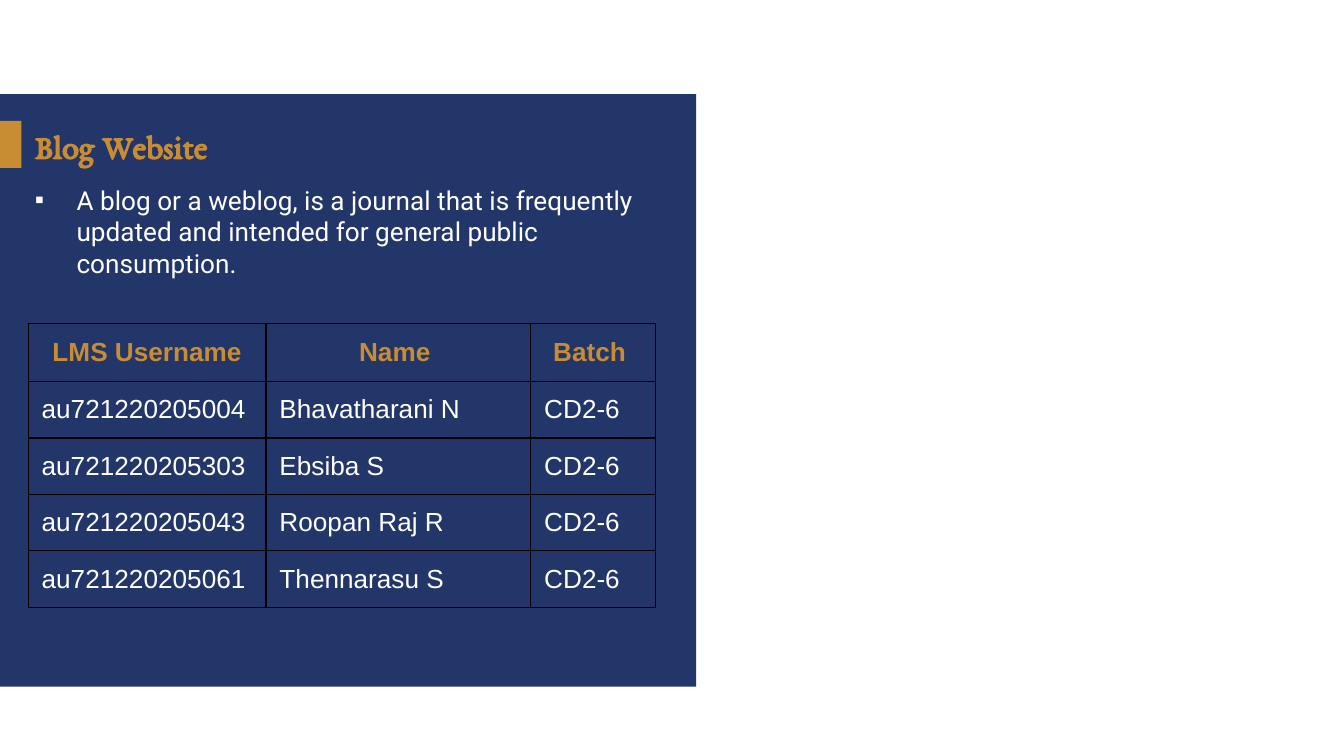
from lxml import etree
from pptx import Presentation
from pptx.dml.color import RGBColor
from pptx.enum.shapes import MSO_SHAPE
from pptx.enum.text import MSO_ANCHOR, MSO_AUTO_SIZE, PP_ALIGN
from pptx.oxml.ns import qn
from pptx.util import Inches, Pt

RECT = MSO_SHAPE.RECTANGLE
MIDDLE, TOP = MSO_ANCHOR.MIDDLE, MSO_ANCHOR.TOP
LEFT, CENTER = PP_ALIGN.LEFT, PP_ALIGN.CENTER
NO_FIT = MSO_AUTO_SIZE.NONE
NAVY, GOLD, WHITE, BLACK = "223669", "C88C32", "FFFFFF", "000000"

ROWS = [
    ("LMS Username", "Name ", "Batch "),
    ("au721220205004", "Bhavatharani N", "CD2-6"),
    ("au721220205303", "Ebsiba S", "CD2-6"),
    ("au721220205043", "Roopan Raj R", "CD2-6"),
    ("au721220205061", "Thennarasu S", "CD2-6"),
]
WIDTHS = [1.77, 1.97, 0.93]
HEAD, ROW = 0.43, 0.42


def color(code):
    return RGBColor.from_string(code)


def style(para, name, size, code, bold=False, align=LEFT):
    para.alignment = align
    font = para.font
    font.name, font.size, font.bold = name, Pt(size), bold
    font.color.rgb = color(code)


def add_panel(slide, box, code):
    """Plain rectangle placed behind the placeholders."""
    panel = slide.shapes.add_shape(RECT, *map(Inches, box))
    panel.shadow.inherit = False
    panel.fill.solid()
    panel.fill.fore_color.rgb = color(code)
    panel.line.fill.background()
    slide.shapes.title.element.addprevious(panel.element)


def fill_holder(holder, box, text, anchor):
    holder.left, holder.top, holder.width, holder.height = map(Inches, box)
    frame = holder.text_frame
    frame.text = text
    frame.word_wrap = True
    frame.auto_size = NO_FIT
    frame.vertical_anchor = anchor
    para = frame.paragraphs[0]
    para.space_before = Pt(0)
    return para


def add_bullet(para, char, indent, code):
    props = para._p.get_or_add_pPr()
    props.set("marL", str(Inches(indent)))
    props.set("indent", str(-Inches(indent)))
    tint = etree.SubElement(props, qn("a:buClr"))
    etree.SubElement(tint, qn("a:srgbClr"), val=code)
    etree.SubElement(props, qn("a:buChar"), char=char)


def add_border(cell, code, width):
    props = cell._tc.get_or_add_tcPr()
    for side in ("lnB", "lnT", "lnR", "lnL"):
        line = etree.Element(qn(f"a:{side}"), w=str(Pt(width)))
        fill = etree.SubElement(line, qn("a:solidFill"))
        etree.SubElement(fill, qn("a:srgbClr"), val=code)
        props.insert(0, line)


def add_grid(slide, left, top):
    high = HEAD + ROW * (len(ROWS) - 1)
    box = map(Inches, (left, top, sum(WIDTHS), high))
    table = slide.shapes.add_table(len(ROWS), len(WIDTHS), *box).table
    table.horz_banding = False
    for col, width in zip(table.columns, WIDTHS):
        col.width = Inches(width)
    for i, row in enumerate(ROWS):
        table.rows[i].height = Inches(ROW if i else HEAD)
        for j, text in enumerate(row):
            cell = table.cell(i, j)
            cell.text = text
            cell.fill.background()
            cell.margin_left = cell.margin_right = Inches(0.1)
            cell.margin_top = cell.margin_bottom = Inches(0.1)
            add_border(cell, BLACK, 0.75)
            para = cell.text_frame.paragraphs[0]
            if i == 0:
                style(para, "Arial", 14, GOLD, True, CENTER)
            else:
                style(para, "Arial", 14, WHITE)


def main():
    # Widescreen 16:9 deck
    deck = Presentation()
    deck.slide_width = Inches(10)
    deck.slide_height = deck.slide_width * 9 // 16
    slide = deck.slides.add_slide(deck.slide_layouts[1])

    # Navy panel and gold tab
    add_panel(slide, (0, 0.7, 5.18, 4.41), NAVY)
    add_panel(slide, (0, 0.9, 0.16, 0.35), GOLD)

    # Title and description
    title = fill_holder(slide.shapes.title, (0.16, 0.89, 3.74, 0.38),
                        "Blog Website", MIDDLE)
    style(title, "EB Garamond", 18.3, GOLD, True)
    body = fill_holder(
        slide.placeholders[1], (0.16, 1.32, 4.97, 3.32),
        "A blog or a weblog, is a journal that is frequently updated "
        "and intended for general public consumption.", TOP)
    add_bullet(body, "▪", 0.31, WHITE)
    style(body, "Roboto", 14, WHITE)

    # Team table
    add_grid(slide, 0.21, 2.41)
    deck.save("out.pptx")


if __name__ == "__main__":
    main()
